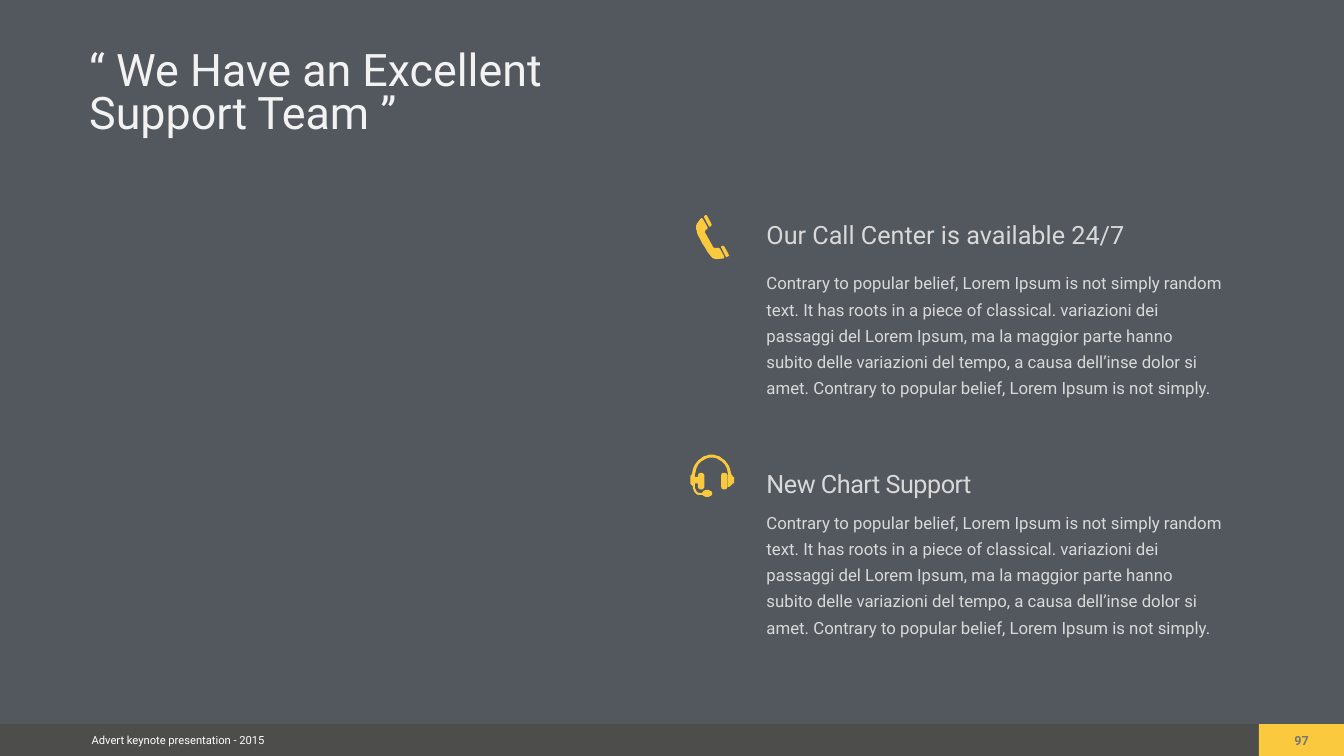
from pptx import Presentation
from pptx.dml.color import RGBColor
from pptx.enum.shapes import MSO_SHAPE
from pptx.enum.text import MSO_ANCHOR, MSO_AUTO_SIZE, PP_ALIGN
from pptx.util import Inches, Pt

SLATE = RGBColor(0x53, 0x58, 0x5F)
BAR = RGBColor(0x4D, 0x4E, 0x4C)
YELLOW = RGBColor(0xFA, 0xC9, 0x3D)
WHITE = RGBColor(0xFF, 0xFF, 0xFF)
OFF_WHITE = RGBColor(0xF2, 0xF2, 0xF2)
LIGHT = RGBColor(0xD9, 0xD9, 0xD9)
GREY = RGBColor(0x77, 0x77, 0x76)
FONT = "Roboto"
W, H = Inches(26.67), Inches(15)

BODY = ("Contrary to popular belief, Lorem Ipsum is not simply random text. "
        "It has roots in a piece of classical. variazioni dei passaggi del "
        "Lorem Ipsum, ma la maggior parte hanno subito delle variazioni del "
        "tempo, a causa dell’inse dolor si amet. Contrary to popular belief, "
        "Lorem Ipsum is not simply.")

# Icon outlines in hundredths of an inch: a pair is a corner,
# six numbers are a Bezier curve (two handles and its end).
PHONE = [
    [(26, 21), (27, 23, 29, 23, 30, 22), (31, 21), (32, 20, 33, 19, 32, 18),
     (23, 1), (22, 0, 21, 0, 19, 0), (18, 1), (17, 2, 16, 3, 17, 4)],
    [(66, 78), (57, 62), (56, 61, 55, 60, 54, 61), (52, 61),
     (51, 62, 50, 63, 51, 64), (60, 82), (61, 83, 63, 83, 64, 82), (65, 81),
     (67, 81, 67, 79, 66, 78)],
    [(49, 67), (47, 65, 44, 64, 42, 65), (41, 65), (39, 66, 36, 65, 35, 63),
     (20, 36), (18, 34, 19, 31, 21, 29), (24, 27, 24, 24, 23, 22), (15, 8),
     (14, 5, 11, 5, 10, 7), (2, 18), (1, 20, 0, 24, 1, 26),
     (1, 26, 2, 36, 14, 57), (26, 78, 33, 84, 33, 84),
     (35, 86, 39, 87, 42, 87), (54, 86), (57, 86, 58, 84, 57, 82)],
]
HEADSET = [
    [(42, 0), (31, 0, 22, 5, 15, 12), (8, 19, 4, 29, 3, 39), (0, 42), (0, 58),
     (5, 63), (5, 66, 6, 72, 10, 76), (13, 80, 17, 80, 21, 80),
     (22, 80, 23, 80, 24, 80), (26, 82, 29, 84, 33, 84),
     (39, 84, 43, 81, 43, 77), (43, 73, 39, 70, 33, 70),
     (28, 70, 24, 73, 23, 76), (22, 76, 22, 76, 21, 76),
     (17, 76, 14, 75, 13, 74), (10, 71, 9, 65, 9, 62), (9, 57), (15, 57),
     (15, 63), (15, 66, 17, 69, 21, 69), (22, 69), (26, 69, 28, 66, 28, 63),
     (28, 42), (28, 39, 26, 36, 22, 36), (21, 36), (17, 36, 15, 39, 15, 42),
     (15, 44), (9, 44), (9, 40), (10, 31, 13, 22, 19, 16),
     (25, 10, 33, 6, 42, 6), (51, 6, 59, 10, 65, 16), (71, 22, 74, 30, 75, 39),
     (75, 64), (77, 64), (84, 58), (84, 57), (87, 57), (87, 44), (84, 44),
     (84, 42), (81, 39), (80, 29, 76, 19, 69, 12), (62, 5, 53, 0, 42, 0)],
    [(66, 36), (63, 36, 61, 39, 61, 42), (61, 63), (61, 66, 63, 69, 66, 69),
     (68, 69), (71, 69, 74, 66, 74, 63), (74, 42), (74, 39, 71, 36, 68, 36)],
]


def col(n):
    """Hundredths of the slide width."""
    return round(W * n / 100)


def row(n):
    """Hundredths of the slide height."""
    return round(H * n / 100)


def write(sp, text, size, color, align=PP_ALIGN.LEFT, spacing=None, wrap=True,
          anchor=MSO_ANCHOR.TOP, bold=False, grow=True):
    tf = sp.text_frame
    tf.word_wrap = wrap
    tf.auto_size = MSO_AUTO_SIZE.SHAPE_TO_FIT_TEXT if grow else MSO_AUTO_SIZE.NONE
    tf.vertical_anchor = anchor
    tf.margin_left = tf.margin_right = Inches(0.08)
    tf.margin_top = tf.margin_bottom = Inches(0.08)
    p = tf.paragraphs[0]
    p.alignment = align
    if spacing:
        p.line_spacing = spacing
    r = p.add_run()
    r.text = text
    r.font.name, r.font.size, r.font.bold = FONT, Pt(size), bold
    r.font.color.rgb = color
    return r


def paint(sp, color):
    sp.shadow.inherit = False
    sp.fill.solid()
    sp.fill.fore_color.rgb = color
    sp.line.fill.background()


def flatten(contour, steps=6):
    """Turn corners and Bezier curves into a list of points."""
    points = [contour[0]]
    for part in contour[1:]:
        if len(part) == 2:
            points.append(part)
            continue
        a, b, c, d = points[-1], part[:2], part[2:4], part[4:]
        for t in (i / steps for i in range(1, steps + 1)):
            u = 1 - t
            points.append(tuple(
                u**3 * a[k] + 3 * u * u * t * b[k] + 3 * u * t * t * c[k] + t**3 * d[k]
                for k in (0, 1)))
    return points


def add_icon(s, contours, left, top, width):
    """Draw an icon centred across the given column."""
    unit = Inches(0.01)
    outlines = [flatten(c) for c in contours]
    right = max(x for line in outlines for x, _ in line)
    builder = s.shapes.build_freeform(*outlines[0][0], scale=unit)
    for i, line in enumerate(outlines):
        if i:
            builder.move_to(*line[0])
        builder.add_line_segments(line[1:], close=True)
    sp = builder.convert_to_shape(left + round((width - right * unit) / 2), top)
    paint(sp, YELLOW)


def add_title(s, left, top, width, height):
    sp = s.shapes.title
    sp.left, sp.top, sp.width, sp.height = left, top, width, height
    write(sp, "“ We Have an Excellent Support Team ”", 64, OFF_WHITE, spacing=0.8)


def add_support_block(s, left, top, width, contours, heading, spacing, tracking):
    """Icon column, heading and body text."""
    text_left = left + col(5.36)
    text_width = width - col(5.36)
    add_icon(s, contours, left, top, col(3.26))
    sp = s.shapes.add_textbox(text_left, top + row(0.07), text_width, row(5.07))
    r = write(sp, heading, 36, LIGHT, spacing=spacing)
    if tracking:
        r.font._element.set("spc", str(tracking))
    sp = s.shapes.add_textbox(text_left, top + row(6.33), text_width, row(18.53))
    write(sp, BODY, 24, LIGHT, spacing=1.3)


def add_footer(s, top, height):
    """Bottom bar with a label and the page number."""
    tab = col(93.66)
    for left, width, color in ((0, W, BAR), (tab, W - tab, YELLOW)):
        sp = s.shapes.add_shape(MSO_SHAPE.RECTANGLE, left, top, width, height)
        paint(sp, color)
    sp = s.shapes.add_textbox(col(6.41), top + row(0.6), col(13.69), row(3))
    write(sp, "Advert keynote presentation - 2015", 16, WHITE, PP_ALIGN.CENTER,
          wrap=False, anchor=MSO_ANCHOR.MIDDLE)
    sp = s.shapes.add_textbox(col(95.99), top + row(0.67), col(1.72), row(3.27))
    write(sp, "97", 18, GREY, PP_ALIGN.CENTER, wrap=False, bold=True, grow=False)


def main():
    prs = Presentation()
    prs.slide_width, prs.slide_height = W, H
    s = prs.slides.add_slide(prs.slide_layouts[5])
    s.background.fill.solid()
    s.background.fill.fore_color.rgb = SLATE

    add_footer(s, row(95.8), row(4.2))
    add_title(s, col(6.34), row(6.4), col(40.05), row(12.53))
    blocks = (
        (PHONE, "Our Call Center is available 24/7", None, None),
        (HEADSET, "New Chart Support", 1.3, -70),
    )
    for i, block in enumerate(blocks):
        add_support_block(s, col(51.37), row(28.47 + 31.67 * i), col(39.89), *block)
    prs.save("out.pptx")


if __name__ == "__main__":
    main()
